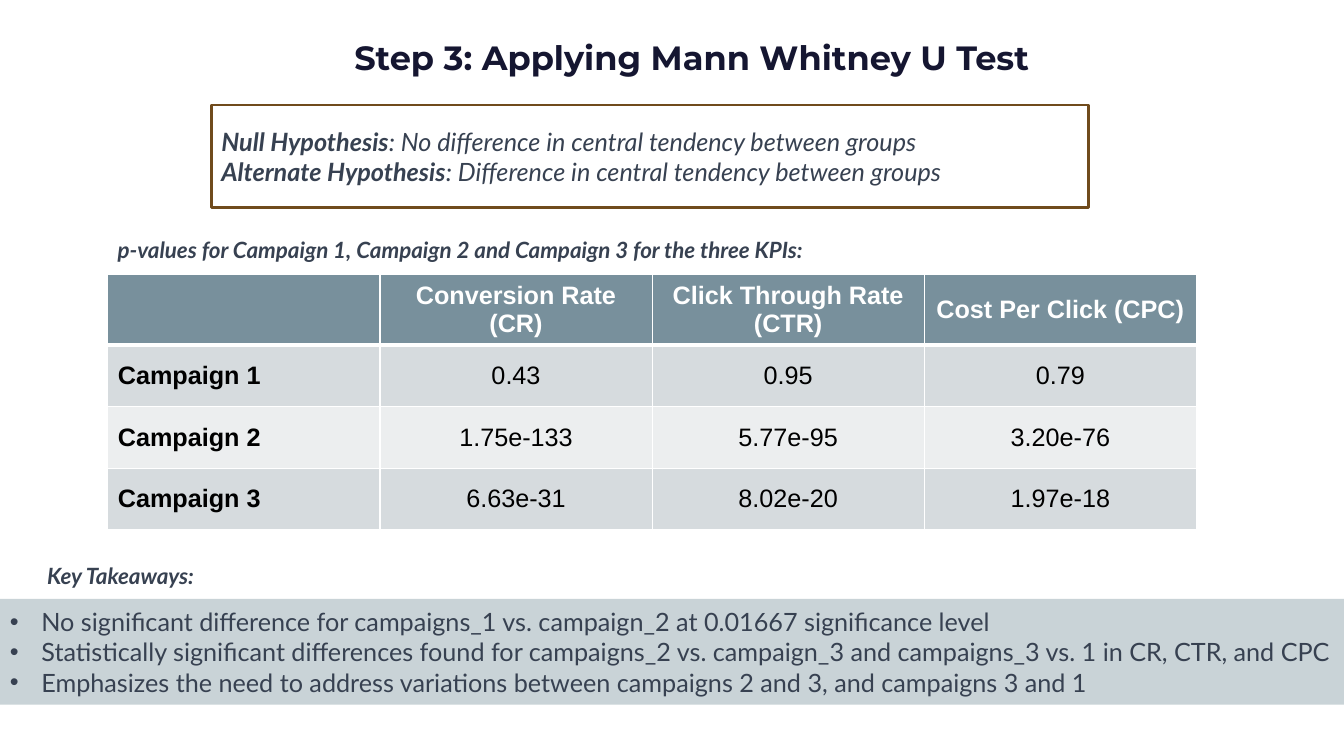
from lxml import etree
from pptx import Presentation
from pptx.dml.color import RGBColor
from pptx.enum.shapes import MSO_SHAPE as Shape
from pptx.enum.text import MSO_ANCHOR as Anchor, PP_ALIGN as Align
from pptx.oxml.ns import qn
from pptx.util import Pt

# Content
TITLE = "Step 3: Applying Mann Whitney U Test"
HYPOTHESES = [
    ("Null Hypothesis", ": No difference in central tendency between groups"),
    ("Alternate Hypothesis", ": Difference in central tendency between groups"),
]
TABLE_CAPTION = "p-values for Campaign 1, Campaign 2 and Campaign 3 for the three KPIs:"
P_VALUES = [
    ("", "Conversion Rate (CR)", "Click Through Rate (CTR)", "Cost Per Click (CPC)"),
    ("Campaign 1", "0.43", "0.95", "0.79"),
    ("Campaign 2", "1.75e-133", "5.77e-95", "3.20e-76"),
    ("Campaign 3", "6.63e-31", "8.02e-20", "1.97e-18"),
]
TAKEAWAYS_CAPTION = "Key Takeaways:"
TAKEAWAYS = [
    "No significant difference for campaigns_1 vs. campaign_2 at 0.01667 significance level",
    "Statistically significant differences found for campaigns_2 vs. campaign_3 "
    "and campaigns_3 vs. 1 in CR, CTR, and CPC",
    "Emphasizes the need to address variations between campaigns 2 and 3, and campaigns 3 and 1",
]

# Style and layout
COLORS = {
    "title": "151631", "text": "374151", "frame": "704B1C", "panel": "C9D3D7",
    "header": "78909C", "odd": "D6DBDE", "even": "ECEEEF",
    "white": "FFFFFF", "black": "000000",
}
PAGE_WIDTH, PAGE_HEIGHT = 960, 540
TABLE_LEFT, TABLE_TOP, COLUMN_WIDTH = 77, 196, 194.4
HEADER_HEIGHT, ROW_HEIGHT = 50, 44
INDENT = 22.5


def color(name):
    return RGBColor.from_string(COLORS[name])


def style(font, face, size, ink, bold=False, italic=False):
    font.name, font.size, font.bold, font.italic = face, Pt(size), bold, italic
    font.color.rgb = color(ink)


def add_text_box(page, text, bounds):
    box = page.shapes.add_textbox(*map(Pt, bounds))
    frame = box.text_frame
    frame.word_wrap = True
    para = frame.paragraphs[0]
    para.text = text
    return frame, para


def add_caption(page, text, left, top):
    frame, para = add_text_box(page, text, (left, top, 626, 29.5))
    frame.vertical_anchor = Anchor.MIDDLE
    style(para.font, "Lato", 16, "text", bold=True, italic=True)


def add_panel(page, bounds, count):
    """Add a rectangle holding the given number of left-aligned paragraphs."""
    panel = page.shapes.add_shape(Shape.RECTANGLE, *map(Pt, bounds))
    panel.shadow.inherit = False
    frame = panel.text_frame
    frame.word_wrap = True
    frame.vertical_anchor = Anchor.MIDDLE
    paras = [frame.paragraphs[0]] + [frame.add_paragraph() for _ in range(count - 1)]
    for para in paras:
        para.alignment = Align.LEFT
    return panel, paras


def add_bullet(para):
    props = para._p.get_or_add_pPr()
    props.set("marL", str(Pt(INDENT)))
    props.set("indent", str(-Pt(INDENT)))
    etree.SubElement(props, qn("a:buFont")).set("typeface", "Arial")
    etree.SubElement(props, qn("a:buChar")).set("char", "•")


def add_borders(cell, bottom_width):
    props = cell._tc.get_or_add_tcPr()
    widths = {"lnL": 1, "lnR": 1, "lnT": 1, "lnB": bottom_width}
    for position, (side, width) in enumerate(widths.items()):
        line = etree.Element(qn(f"a:{side}"), w=str(Pt(width)))
        fill = etree.SubElement(line, qn("a:solidFill"))
        etree.SubElement(fill, qn("a:srgbClr")).set("val", COLORS["white"])
        props.insert(position, line)


def add_p_value_table(page):
    rows, columns = len(P_VALUES), len(P_VALUES[0])
    heights = [HEADER_HEIGHT] + [ROW_HEIGHT] * (rows - 1)
    table = page.shapes.add_table(
        rows, columns, Pt(TABLE_LEFT), Pt(TABLE_TOP),
        Pt(COLUMN_WIDTH * columns), Pt(sum(heights))).table
    for column in table.columns:
        column.width = Pt(COLUMN_WIDTH)
    for r, (values, height) in enumerate(zip(P_VALUES, heights)):
        table.rows[r].height = Pt(height)
        header = r == 0
        band = "header" if header else ("odd" if r % 2 else "even")
        for c, value in enumerate(values):
            cell = table.cell(r, c)
            cell.text = value
            cell.vertical_anchor = Anchor.MIDDLE
            cell.fill.solid()
            cell.fill.fore_color.rgb = color(band)
            para = cell.text_frame.paragraphs[0]
            para.alignment = Align.CENTER if c else Align.LEFT
            style(para.font, "Arial", 18, "white" if header else "black",
                  bold=header or c == 0)
            add_borders(cell, 3 if header else 1)


def main():
    deck = Presentation()
    deck.slide_width, deck.slide_height = Pt(PAGE_WIDTH), Pt(PAGE_HEIGHT)
    page = deck.slides.add_slide(deck.slide_layouts[6])

    # Title
    frame, para = add_text_box(page, TITLE, (0, 16.5, 988, 54))
    frame.margin_left = frame.margin_right = Pt(9.5)
    frame.margin_top = frame.margin_bottom = Pt(9.5)
    para.alignment = Align.CENTER
    style(para.font, "Montserrat", 24, "title", bold=True)

    # Framed hypotheses
    panel, paras = add_panel(page, (151, 75, 626.5, 73), len(HYPOTHESES))
    panel.fill.background()
    panel.line.color.rgb = color("frame")
    panel.line.width = Pt(2)
    for para, (label, statement) in zip(paras, HYPOTHESES):
        style(para.font, "Lato", 18, "text", italic=True)
        for text, bold in ((label, True), (statement, False)):
            span = para.add_run()
            span.text = text
            span.font.bold = bold

    # Table of p-values
    add_p_value_table(page)
    add_caption(page, TABLE_CAPTION, TABLE_LEFT, 163.5)

    # Takeaways
    panel, paras = add_panel(page, (0, 427.7, PAGE_WIDTH, 75.6), len(TAKEAWAYS))
    panel.fill.solid()
    panel.fill.fore_color.rgb = color("panel")
    panel.line.fill.background()
    for para, takeaway in zip(paras, TAKEAWAYS):
        para.text = takeaway
        style(para.font, "Lato", 18, "text")
        add_bullet(para)
    add_caption(page, TAKEAWAYS_CAPTION, 26.6, 396)

    deck.save("out.pptx")


if __name__ == "__main__":
    main()
